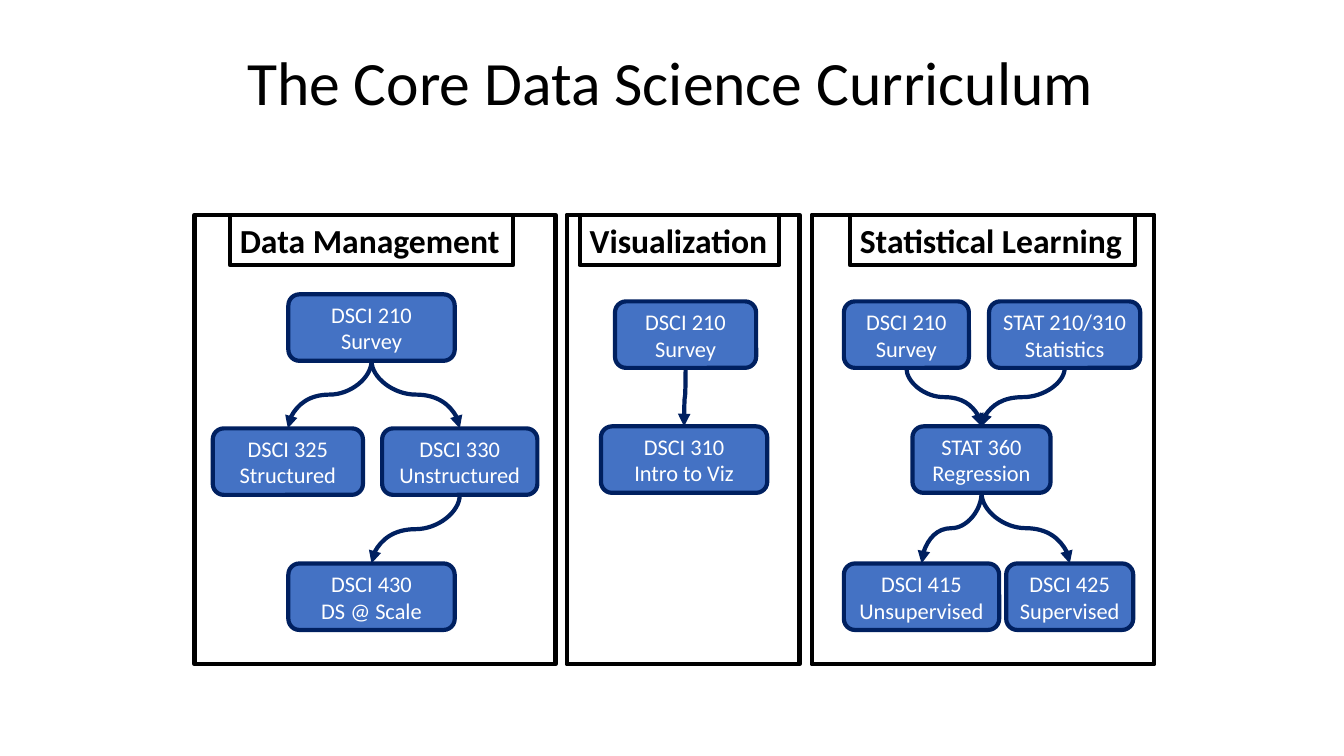
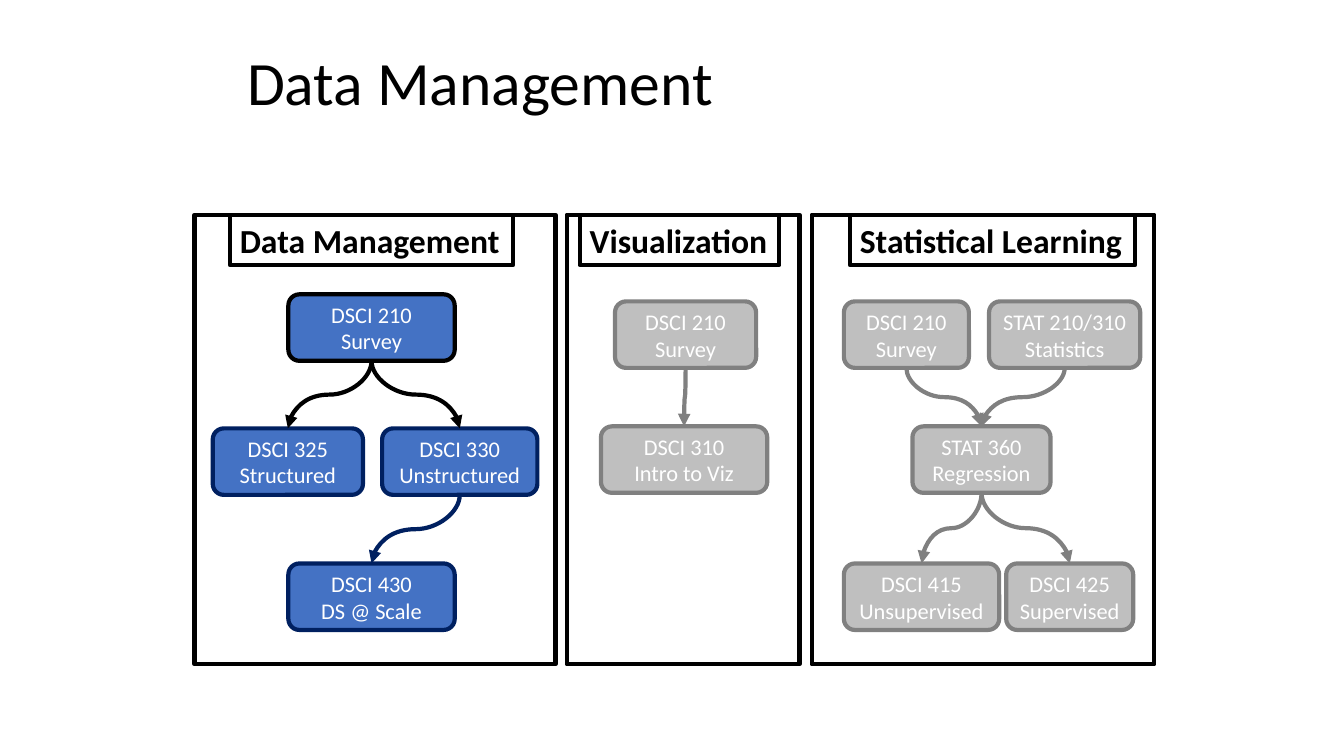
from dataclasses import dataclass

from lxml import etree
from pptx import Presentation
from pptx.dml.color import RGBColor
from pptx.enum.shapes import MSO_CONNECTOR, MSO_SHAPE
from pptx.enum.text import MSO_ANCHOR, MSO_AUTO_SIZE, PP_ALIGN
from pptx.oxml.ns import qn
from pptx.util import Inches, Pt

CURVE = MSO_CONNECTOR.CURVE
RECT, ROUNDED = MSO_SHAPE.RECTANGLE, MSO_SHAPE.ROUNDED_RECTANGLE
LEFT, CENTER = PP_ALIGN.LEFT, PP_ALIGN.CENTER
MIDDLE = MSO_ANCHOR.MIDDLE
FIT_SHAPE = MSO_AUTO_SIZE.SHAPE_TO_FIT_TEXT
BOTTOM_SITE, TOP_SITE = 2, 0
TITLE_ONLY = 5

FONT = "Calibri"
BLACK, WHITE = "000000", "FFFFFF"
BLUE, NAVY = "4472C4", "002060"
LIGHT_GRAY, GRAY = "BFBFBF", "808080"
LINE_WIDTH = Pt(3)

TRACK_TOP, TRACK_HEIGHT = 2.13, 4.46
LABEL_HEIGHT, COURSE_HEIGHT = 0.5, 0.66


@dataclass(frozen=True)
class Course:
    row: int
    left: float
    width: float
    text: str


@dataclass(frozen=True)
class Track:
    name: str
    left: float
    width: float
    label_left: float
    label_width: float
    row_tops: tuple[float, ...]
    courses: tuple[Course, ...]
    prerequisites: tuple[tuple[int, int], ...]  # (earlier course, later course)


@dataclass(frozen=True)
class View:
    title: str
    focus: str = ""  # name of the only track in colour; empty for all


TRACKS = (
    Track("Data Management", 1.93, 3.58, 2.28, 2.81, (2.92, 4.25, 5.59), (
        Course(0, 2.86, 1.65, "DSCI 210\nSurvey"),
        Course(1, 2.11, 1.49, "DSCI 325\nStructured"),
        Course(1, 3.79, 1.54, "DSCI 330\nUnstructured"),
        Course(2, 2.86, 1.65, "DSCI 430\nDS @ Scale"),
    ), ((0, 1), (0, 2), (2, 3))),
    Track("Visualization", 5.62, 2.31, 5.75, 1.98, (2.99, 4.23), (
        Course(0, 6.1, 1.4, "DSCI 210\nSurvey"),
        Course(1, 5.96, 1.65, "DSCI 310\nIntro to Viz"),
    ), ((0, 1),)),
    Track("Statistical Learning", 8.05, 3.4, 8.43, 2.83, (2.99, 4.23, 5.59), (
        Course(0, 8.37, 1.24, "DSCI 210\nSurvey"),
        Course(0, 9.81, 1.5, "STAT 210/310\nStatistics"),
        Course(1, 9.05, 1.37, "STAT 360\nRegression"),
        Course(2, 8.37, 1.54, "DSCI 415\nUnsupervised"),
        Course(2, 9.98, 1.26, "DSCI 425\nSupervised"),
    ), ((0, 2), (1, 2), (2, 3), (2, 4))),
)

VIEWS = (
    View("The Core Data Science Curriculum"),
    View("Data Management", focus="Data Management"),
)


def rgb(color: str) -> RGBColor:
    return RGBColor.from_string(color)


def set_line(item, color: str) -> None:
    item.line.color.rgb = rgb(color)
    item.line.width = LINE_WIDTH


def format_text(frame, size: int, color: str, align, bold: bool = False) -> None:
    for paragraph in frame.paragraphs:
        paragraph.alignment = align
        for run in paragraph.runs:
            run.font.name = FONT
            run.font.size = Pt(size)
            run.font.bold = bold
            run.font.color.rgb = rgb(color)


def add_title(slide, text: str) -> None:
    title = slide.shapes.title
    title.left, title.top = Inches(2.35), Inches(0.4)
    title.width, title.height = Inches(8.62), Inches(0.89)
    frame = title.text_frame
    frame.text = text
    frame.vertical_anchor = MIDDLE
    frame.paragraphs[0].line_spacing = 0.9
    format_text(frame, 44, BLACK, LEFT)


def add_frame(slide, track: Track) -> None:
    """Draw the outline of a track and the label at its top."""
    outline = slide.shapes.add_shape(
        RECT, Inches(track.left), Inches(TRACK_TOP),
        Inches(track.width), Inches(TRACK_HEIGHT))
    outline.shadow.inherit = False
    outline.fill.background()
    set_line(outline, BLACK)

    label = slide.shapes.add_textbox(
        Inches(track.label_left), Inches(TRACK_TOP),
        Inches(track.label_width), Inches(LABEL_HEIGHT))
    set_line(label, BLACK)
    frame = label.text_frame
    frame.text = track.name
    frame.word_wrap = False
    frame.auto_size = FIT_SHAPE
    format_text(frame, 24, BLACK, LEFT, bold=True)


def add_course(slide, course: Course, top: float, fill: str, border: str):
    box = slide.shapes.add_shape(
        ROUNDED, Inches(course.left), Inches(top),
        Inches(course.width), Inches(COURSE_HEIGHT))
    box.shadow.inherit = False
    box.fill.solid()
    box.fill.fore_color.rgb = rgb(fill)
    set_line(box, border)
    box.text_frame.text = course.text
    box.text_frame.vertical_anchor = MIDDLE
    format_text(box.text_frame, 16, WHITE, CENTER)
    return box


def add_arrow(slide, earlier, later, color: str) -> None:
    """Join two courses by a curve that leaves and arrives vertically."""
    arrow = slide.shapes.add_connector(CURVE, 0, 0, 0, 0)
    arrow.begin_connect(earlier, BOTTOM_SITE)
    arrow.end_connect(later, TOP_SITE)
    run, drop = arrow.end_x - arrow.begin_x, arrow.end_y - arrow.begin_y
    middle_x = arrow.begin_x + run // 2
    middle_y = arrow.begin_y + drop // 2

    # The preset curve starts sideways, so it is turned a quarter.
    properties = arrow.element.spPr
    transform = properties.find(qn("a:xfrm"))
    transform.attrib.clear()
    if run > 0:
        transform.set("rot", str(270 * 60000))
        transform.set("flipH", "1")
    else:
        transform.set("rot", str(90 * 60000))
    arrow.width, arrow.height = drop, abs(run)
    arrow.left, arrow.top = middle_x - drop // 2, middle_y - abs(run) // 2

    set_line(arrow, color)
    tail = etree.SubElement(properties.find(qn("a:ln")), qn("a:tailEnd"))
    tail.set("type", "triangle")
    etree.SubElement(properties, qn("a:effectLst"))


def add_track(slide, track: Track, view: View) -> None:
    active = view.focus in ("", track.name)
    fill, border = (BLUE, NAVY) if active else (LIGHT_GRAY, GRAY)
    borders = [border] * len(track.courses)
    if view.focus == track.name:
        borders[0] = BLACK  # entry course of the track in focus

    add_frame(slide, track)
    boxes = [add_course(slide, course, track.row_tops[course.row], fill, color)
             for course, color in zip(track.courses, borders)]
    for earlier, later in track.prerequisites:
        add_arrow(slide, boxes[earlier], boxes[later], borders[earlier])


def main() -> None:
    deck = Presentation()
    deck.slide_width, deck.slide_height = Inches(13.33), Inches(7.5)
    for view in VIEWS:
        slide = deck.slides.add_slide(deck.slide_layouts[TITLE_ONLY])
        add_title(slide, view.title)
        for track in TRACKS:
            add_track(slide, track, view)
    deck.save("out.pptx")


if __name__ == "__main__":
    main()
